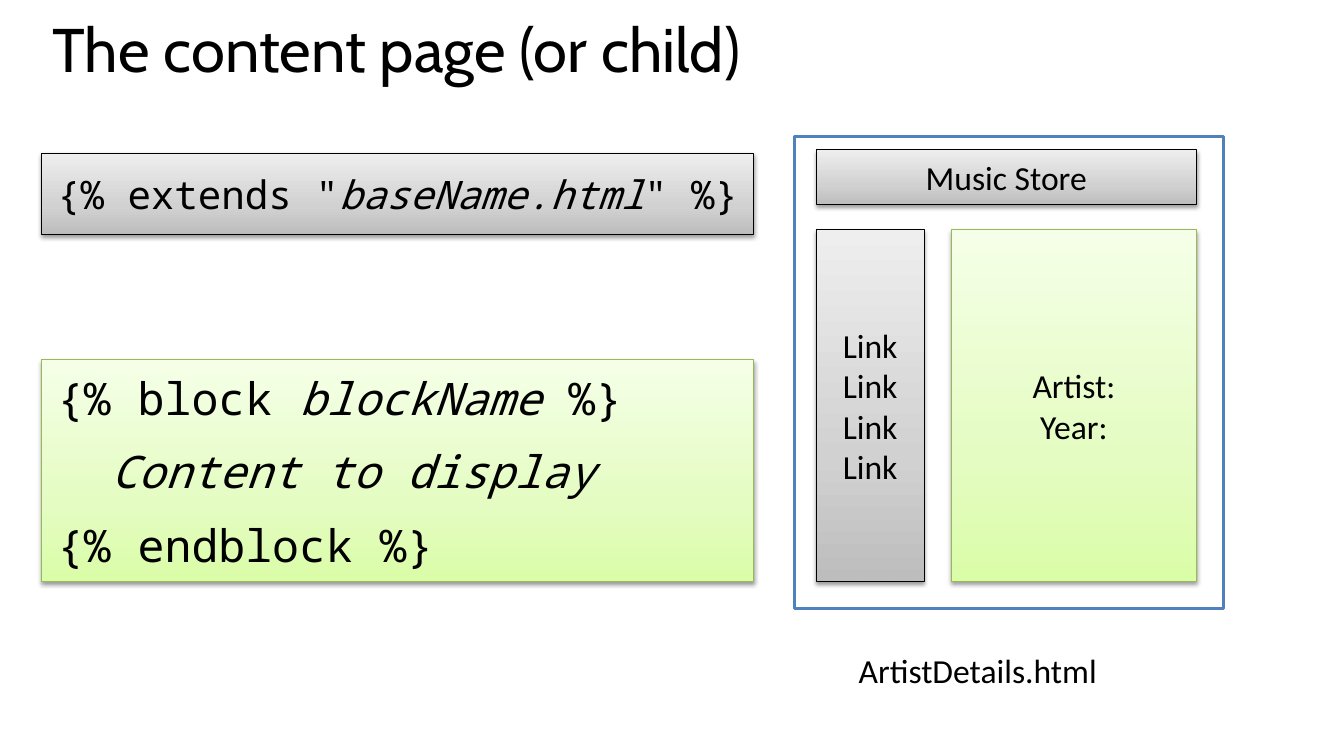
"""Build the slide about the content (child) page of a template."""
from dataclasses import dataclass

from lxml.etree import SubElement
from pptx import Presentation
from pptx.dml.color import RGBColor
from pptx.enum.shapes import MSO_SHAPE
from pptx.enum.text import MSO_ANCHOR, MSO_AUTO_SIZE, PP_ALIGN
from pptx.oxml.ns import qn
from pptx.shapes.autoshape import Shape
from pptx.slide import Slide
from pptx.util import Cm, Pt

BLACK = RGBColor(0x00, 0x00, 0x00)
WHITE = RGBColor(0xFF, 0xFF, 0xFF)
BLUE = RGBColor(0x4F, 0x81, 0xBD)
OLIVE = RGBColor(0x98, 0xB9, 0x55)
GREYS = (RGBColor(0xBD, 0xBD, 0xBD), RGBColor(0xD1, 0xD1, 0xD1), RGBColor(0xEE, 0xEE, 0xEE))
GREENS = (RGBColor(0xDA, 0xFD, 0xA7), RGBColor(0xE4, 0xFC, 0xC2), RGBColor(0xF5, 0xFF, 0xE7))
STOPS = (0, 35, 100)

LEFT, CODE_WIDTH = 1.04, 17.96
PAGE_LEFT, PAGE_TOP, PAGE_HEIGHT = 20.57, 5.79, 8.86
CODE_INDENT, NESTED_INDENT = 0.15, 1.51


@dataclass(frozen=True)
class Run:
    text: str
    italic: bool = False


@dataclass(frozen=True)
class Line:
    runs: tuple[Run, ...]
    indent: float = CODE_INDENT


@dataclass(frozen=True)
class Panel:
    left: float
    top: float
    width: float
    height: float
    colors: tuple[RGBColor, ...]
    border: RGBColor


@dataclass(frozen=True)
class Code:
    panel: Panel
    size: int
    lines: tuple[Line, ...]


@dataclass(frozen=True)
class Region:
    panel: Panel
    labels: tuple[str, ...]


CODES = (
    Code(Panel(LEFT, 3.86, CODE_WIDTH, 2.06, GREYS, BLACK), 28, (
        Line((Run('{% extends "'), Run("baseName.html", True), Run('" %}'))),
    )),
    Code(Panel(LEFT, 9.07, CODE_WIDTH, 5.59, GREENS, OLIVE), 32, (
        Line((Run("{% block "), Run("blockName ", True), Run("%}"))),
        Line((Run("Content to display", True),), NESTED_INDENT),
        Line((Run("{% endblock %}"),)),
    )),
)
REGIONS = (
    Region(Panel(PAGE_LEFT, 3.78, 9.58, 1.37, GREYS, BLACK), ("Music Store",)),
    Region(Panel(PAGE_LEFT, PAGE_TOP, 2.72, PAGE_HEIGHT, GREYS, BLACK), ("Link",) * 4),
    Region(Panel(23.98, PAGE_TOP, 6.17, PAGE_HEIGHT, GREENS, OLIVE), ("Artist:", "Year:")),
)


def style_font(font, name: str, size: int) -> None:
    font.name = name
    font.size = Pt(size)
    font.color.rgb = BLACK


def add_box(s: Slide, left: float, top: float, width: float, height: float,
            border: RGBColor, weight: float) -> Shape:
    sp = s.shapes.add_shape(MSO_SHAPE.RECTANGLE, Cm(left), Cm(top), Cm(width), Cm(height))
    sp.line.color.rgb = border
    sp.line.width = Pt(weight)
    sp.shadow.inherit = False
    return sp


def fill_gradient(sp: Shape, colors: tuple[RGBColor, ...]) -> None:
    sp.fill.gradient()
    sp.fill.gradient_angle = 90
    stops = sp._element.spPr.find(".//" + qn("a:gsLst"))
    stops.clear()
    for position, color in zip(STOPS, colors):
        stop = SubElement(stops, qn("a:gs"), pos=str(position * 1000))
        SubElement(stop, qn("a:srgbClr"), val=str(color))


def cast_shadow(sp: Shape) -> None:
    effects = sp._element.spPr.find(qn("a:effectLst"))
    shadow = SubElement(effects, qn("a:outerShdw"), blurRad=str(Pt(3.1)), dist=str(Pt(1.6)),
                        dir="5400000", rotWithShape="0")
    color = SubElement(shadow, qn("a:srgbClr"), val=str(BLACK))
    SubElement(color, qn("a:alpha"), val="38000")


def add_panel(s: Slide, panel: Panel) -> Shape:
    sp = add_box(s, panel.left, panel.top, panel.width, panel.height, panel.border, 0.75)
    fill_gradient(sp, panel.colors)
    cast_shadow(sp)
    sp.text_frame.word_wrap = True
    sp.text_frame.vertical_anchor = MSO_ANCHOR.MIDDLE
    return sp


def add_region(s: Slide, region: Region) -> None:
    tf = add_panel(s, region.panel).text_frame
    tf.text = "\n".join(region.labels)
    for p in tf.paragraphs:
        p.alignment = PP_ALIGN.CENTER
        style_font(p.font, "Calibri", 24)


def add_code(s: Slide, code: Code) -> None:
    tf = add_panel(s, code.panel).text_frame
    for i, line in enumerate(code.lines):
        p = tf.add_paragraph() if i else tf.paragraphs[0]
        p.alignment = PP_ALIGN.LEFT
        p.space_before = Pt(14)
        p._p.get_or_add_pPr().set("marL", str(Cm(line.indent)))
        style_font(p.font, "Noto Sans Mono", code.size)
        for run in line.runs:
            r = p.add_run()
            r.text = run.text
            r.font.italic = run.italic


def add_title(s: Slide) -> None:
    sp = s.shapes.title
    sp.left, sp.top, sp.width, sp.height = Cm(1.07), Cm(0.51), Cm(32), Cm(2.95)
    tf = sp.text_frame
    tf.text = "The content page (or child)"
    tf.auto_size = MSO_AUTO_SIZE.NONE
    tf.vertical_anchor = MSO_ANCHOR.TOP
    p = tf.paragraphs[0]
    p.alignment = PP_ALIGN.LEFT
    p.line_spacing = 0.8
    style_font(p.font, "Cabin", 44)


def add_caption(s: Slide) -> None:
    tf = s.shapes.add_textbox(Cm(21.39), Cm(16.26), Cm(6.58), Cm(1.27)).text_frame
    tf.text = "ArtistDetails.html"
    tf.word_wrap = False
    tf.auto_size = MSO_AUTO_SIZE.SHAPE_TO_FIT_TEXT
    style_font(tf.paragraphs[0].font, "Calibri", 24)


def main() -> None:
    prs = Presentation()
    prs.slide_width, prs.slide_height = Cm(33.87), Cm(19.05)
    s = prs.slides.add_slide(prs.slide_layouts[5])
    add_title(s)
    page = add_box(s, 20.02, 3.45, 10.82, 11.89, BLUE, 2)
    page.fill.solid()
    page.fill.fore_color.rgb = WHITE
    add_caption(s)
    for region in REGIONS:
        add_region(s, region)
    for code in CODES:
        add_code(s, code)
    prs.save("out.pptx")


if __name__ == "__main__":
    main()
